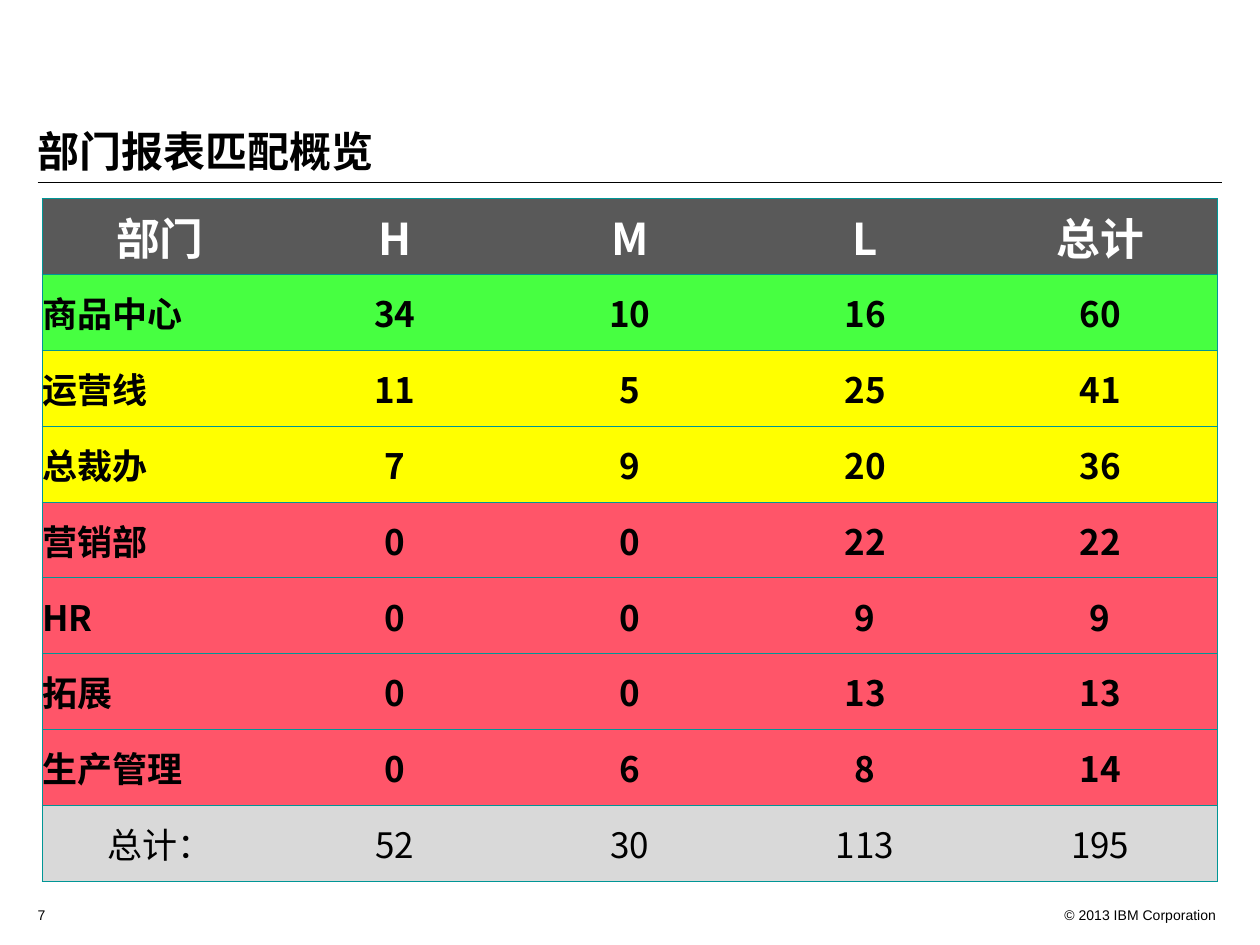
from lxml import etree
from pptx import Presentation
from pptx.dml.color import RGBColor
from pptx.enum.shapes import MSO_CONNECTOR
from pptx.enum.text import MSO_ANCHOR, MSO_AUTO_SIZE, PP_ALIGN
from pptx.oxml.ns import qn
from pptx.util import Cm, Pt

LEFT, CENTER, RIGHT = PP_ALIGN.LEFT, PP_ALIGN.CENTER, PP_ALIGN.RIGHT
MIDDLE, BOTTOM = MSO_ANCHOR.MIDDLE, MSO_ANCHOR.BOTTOM
NO_AUTOFIT = MSO_AUTO_SIZE.NONE
STRAIGHT = MSO_CONNECTOR.STRAIGHT

BLACK, WHITE, TEAL = "000000", "FFFFFF", "009696"
DARK, GREEN, YELLOW, RED, GREY = "595959", "47FF41", "FFFF00", "FF5569", "D9D9D9"
CJK_FONT = "Noto Sans CJK SC"

HEADER = ("部门", "H", "M", "L", "总计")
DEPARTMENTS = [
    (GREEN, ("商品中心", 34, 10, 16, 60)),
    (YELLOW, ("运营线", 11, 5, 25, 41)),
    (YELLOW, ("总裁办", 7, 9, 20, 36)),
    (RED, ("营销部", 0, 0, 22, 22)),
    (RED, ("HR", 0, 0, 9, 9)),
    (RED, ("拓展", 0, 0, 13, 13)),
    (RED, ("生产管理", 0, 6, 8, 14)),
]
TOTALS = ("总计：", 52, 30, 113, 195)


def color(value):
    return RGBColor.from_string(value)


class SlideBuilder:
    """Holds the style and the current slide."""

    rule_width = Pt(0.75)
    title_format = {"size": Pt(24), "bold": True, "name": CJK_FONT}
    header_format = {"size": Pt(25), "bold": True, "name": CJK_FONT}
    body_format = {"size": Pt(20), "bold": True, "name": CJK_FONT}
    total_format = {"size": Pt(20), "bold": False, "name": CJK_FONT}
    footer_format = {"size": Pt(8), "bold": False, "name": "Arial"}

    def __init__(self, presentation):
        self.slide = presentation.slides.add_slide(presentation.slide_layouts[5])

    def set_text(self, frame, text, font_format, font_color=BLACK, align=LEFT):
        paragraph = frame.paragraphs[0]
        paragraph.alignment = align
        run = paragraph.add_run()
        run.text = str(text)
        for name, value in font_format.items():
            setattr(run.font, name, value)
        run.font.color.rgb = color(font_color)
        # East Asian text needs its own typeface entry
        east_asian = etree.SubElement(run.font._element, qn("a:ea"))
        east_asian.set("typeface", font_format["name"])
        return paragraph

    def title(self, text, left, top, width, height):
        shape = self.slide.shapes.title
        shape.left, shape.top, shape.width, shape.height = left, top, width, height
        frame = shape.text_frame
        frame.auto_size = NO_AUTOFIT
        frame.vertical_anchor = BOTTOM
        paragraph = self.set_text(frame, text, self.title_format)
        paragraph.line_spacing = 0.9

    def rule(self, left, right, y):
        connector = self.slide.shapes.add_connector(STRAIGHT, left, y, right, y)
        connector.line.width = self.rule_width
        connector.line.color.rgb = color(BLACK)
        etree.SubElement(connector._element.spPr, qn("a:effectLst"))

    def footer(self, text, left, width, align):
        box = self.slide.shapes.add_textbox(left, Cm(18.16), width, Cm(0.51))
        box.text_frame.word_wrap = True
        self.set_text(box.text_frame, text, self.footer_format, align=align)

    def borders(self, cell, visible_sides):
        properties = cell._tc.get_or_add_tcPr()
        for position, side in enumerate("LRTB"):
            line = etree.Element(qn(f"a:ln{side}"), w=str(int(self.rule_width)))
            if side in visible_sides:
                fill = etree.SubElement(line, qn("a:solidFill"))
                etree.SubElement(fill, qn("a:srgbClr"), val=TEAL)
            else:
                etree.SubElement(line, qn("a:noFill"))
            properties.insert(position, line)

    def table(self, rows, left, top, width, height):
        column_count = len(rows[0][1])
        table = self.slide.shapes.add_table(
            len(rows), column_count, left, top, width, height).table
        for row_index, (fill, values, font_format, font_color, first_align) in enumerate(rows):
            table.rows[row_index].height = height // len(rows)
            for column, value in enumerate(values):
                cell = table.cell(row_index, column)
                cell.margin_left = cell.margin_right = 0
                cell.margin_top = cell.margin_bottom = 0
                cell.vertical_anchor = MIDDLE
                cell.fill.solid()
                cell.fill.fore_color.rgb = color(fill)
                align = first_align if column == 0 else CENTER
                self.set_text(cell.text_frame, value, font_format, font_color, align)
                # Horizontal rules everywhere, vertical ones at the outer edges
                sides = "TB"
                if column == 0:
                    sides += "L"
                if column == column_count - 1:
                    sides += "R"
                self.borders(cell, sides)


def main():
    presentation = Presentation()
    presentation.slide_width, presentation.slide_height = Cm(25.4), Cm(19.05)
    builder = SlideBuilder(presentation)

    # Title and rule
    builder.title("部门报表匹配概览", Cm(0.51), Cm(1.9), Cm(24.13), Cm(1.78))
    builder.rule(Cm(0.76), Cm(24.64), Cm(3.68))

    # Department table
    rows = [(DARK, HEADER, builder.header_format, WHITE, CENTER)]
    rows += [(fill, values, builder.body_format, BLACK, LEFT)
             for fill, values in DEPARTMENTS]
    rows.append((GREY, TOTALS, builder.total_format, BLACK, CENTER))
    builder.table(rows, Cm(0.85), Cm(4.01), Cm(23.7), Cm(13.76))

    # Footer
    builder.footer("7", Cm(0.51), Cm(1.02), LEFT)
    builder.footer("© 2013 IBM Corporation", Cm(20.96), Cm(3.81), RIGHT)

    presentation.save("out.pptx")


if __name__ == "__main__":
    main()
